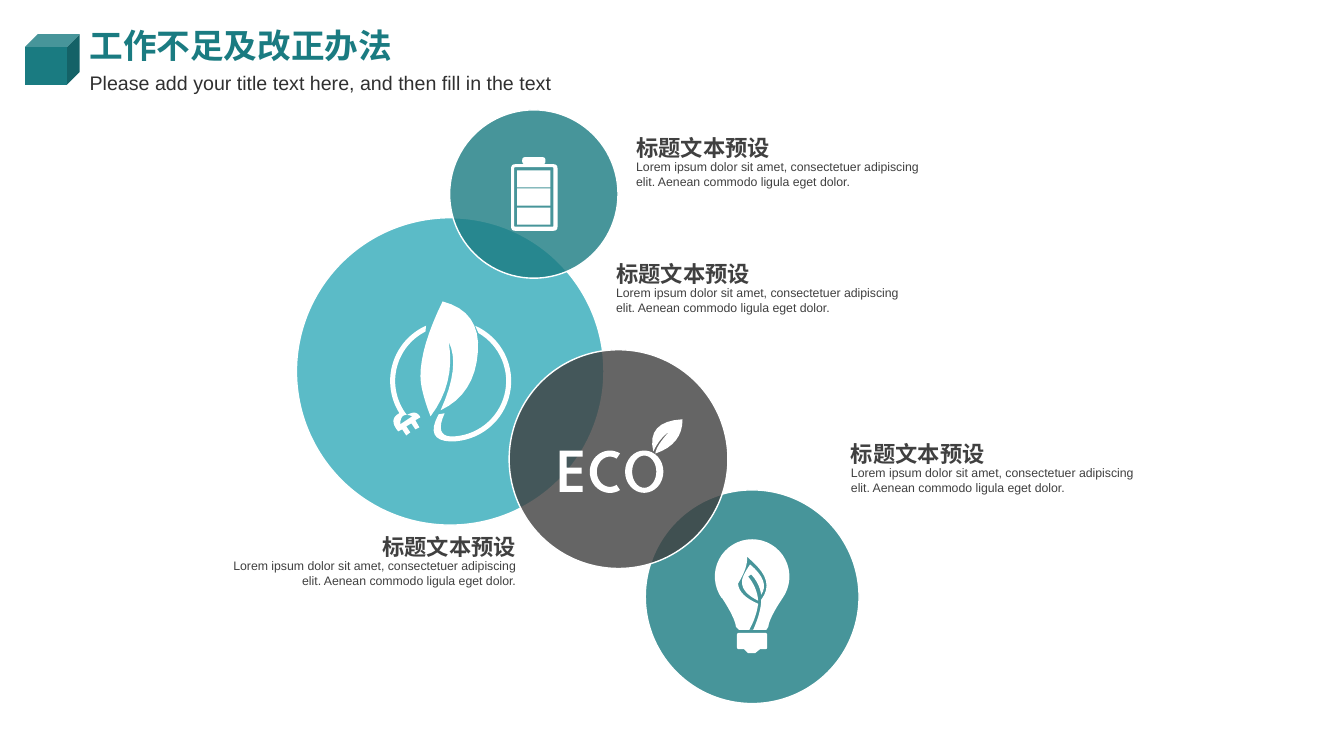
from math import cos, radians, sin

from lxml.etree import SubElement
from pptx import Presentation
from pptx.dml.color import RGBColor
from pptx.enum.shapes import MSO_SHAPE as Shape
from pptx.enum.text import MSO_ANCHOR as Anchor, MSO_AUTO_SIZE as AutoSize, PP_ALIGN as Align
from pptx.oxml.ns import qn
from pptx.util import Pt

PX = 9144  # EMU per px, 100 px to the inch
FINE = 100  # subdivisions of a px in curved outlines
STEPS = 8  # straight pieces per curve
FONT = "Arial"
COLORS = {"teal": "1A7B81", "aqua": "33AAB9", "gray": "3F3F3F",
          "white": "FFFFFF", "subtitle": "303030", "caption": "404040"}
BODY = ("Lorem ipsum dolor sit amet, consectetuer adipiscing elit. "
        "Aenean commodo ligula eget dolor.")


def rgb(color):
    return RGBColor.from_string(COLORS[color])


# Contours: (x, y) is a corner, (cx, cy, x, y) a curve pulled towards (cx, cy)
def arc(x, y, rx, ry, start, end):
    angles = (radians(start + (end - start) * i / 32) for i in range(33))
    return [(x + rx * cos(a), y + ry * sin(a)) for a in angles]


def rounded(x, y, w, h, r):
    right, bottom = x + w, y + h
    return [(x + r, y), (right - r, y), (right, y, right, y + r),
            (right, bottom - r), (right, bottom, right - r, bottom),
            (x + r, bottom), (x, bottom, x, bottom - r), (x, y + r), (x, y, x + r, y)]


def flatten(contour):
    points = [contour[0]]
    for step in contour[1:]:
        if len(step) == 2:
            points.append(step)
            continue
        (x0, y0), (cx, cy, x, y) = points[-1], step
        for i in range(1, STEPS + 1):
            t = i / STEPS
            a, b, c = (1 - t) ** 2, 2 * t * (1 - t), t * t
            points.append((a * x0 + b * cx + c * x, a * y0 + b * cy + c * y))
    return [(x * FINE, y * FINE) for x, y in points]


def add_preset(slide, kind, box, color):
    shape = slide.shapes.add_shape(kind, *(n * PX for n in box))
    shape.shadow.inherit = False
    shape.fill.solid()
    shape.fill.fore_color.rgb = rgb(color)
    shape.line.fill.background()
    return shape


def add_outline(slide, left, top, *contours):
    first, *others = (flatten(contour) for contour in contours)
    pen = slide.shapes.build_freeform(*first[0], scale=PX / FINE)
    pen.add_line_segments(first[1:], close=True)
    for other in others:
        pen.move_to(*other[0])
        pen.add_line_segments(other[1:], close=True)
    part = pen.convert_to_shape(left * PX, top * PX)
    part.shadow.inherit = False
    part.fill.solid()
    part.fill.fore_color.rgb = rgb("white")
    part.line.fill.background()


def add_bubble(slide, left, top, size, color):
    bubble = add_preset(slide, Shape.OVAL, (left, top, size, size), color)
    tint = bubble.fill._xPr.find(qn("a:solidFill")).find(qn("a:srgbClr"))
    SubElement(tint, qn("a:alpha"), val="80000")
    bubble.line.color.rgb = rgb("white")
    bubble.line.width = Pt(1)


def add_bulb(slide, left, top):
    add_bubble(slide, left, top, 212, "teal")
    x, y = left + 69, top + 49
    add_outline(slide, x, y, rounded(22, 93, 30, 16, 2),
                [(29, 109), (45, 109), (40, 113), (33, 113)])
    glass = arc(37, 37, 37, 37, 145, 395) + [
        (54, 78, 53, 87), (51, 90), (24, 90), (21, 87), (20, 78, 7, 58)]
    stem = [(34, 90), (41, 78, 43, 64), (24, 56, 23, 44), (33, 28, 32, 17),
            (37, 22), (60, 42, 46, 60), (46, 72, 38, 90)]
    add_outline(slide, x, y, glass, stem)
    add_outline(slide, x, y, [(36, 35), (44, 43, 46, 55), (55, 42, 35, 25),
                              (26, 38, 27, 43), (27, 53, 43, 61), (42, 48, 33, 37)])


def add_leaf(slide, left, top):
    add_bubble(slide, left, top, 305, "aqua")
    x, y = left + 93, top + 83
    blade = [(52, 0), (90, 10, 87, 50), (84, 92, 50, 108), (70, 64, 58, 40),
             (65, 81, 40, 114), (30, 88, 30, 74), (30, 45, 52, 0)]
    cord = (arc(60, 79, 60, 60, -66, 90) + [(34, 138, 48, 112), (54, 111), (44, 133, 60, 134)]
            + arc(60, 79, 55, 55, 90, -60))
    add_outline(slide, x, y, blade, cord)
    plug = (arc(60, 79, 60, 60, 148, 246) + arc(60, 79, 55, 55, 243, 142)
            + [(26, 107, 30, 115), (25, 118), (29, 125), (25, 127), (21, 121), (16, 124),
               (20, 130), (16, 133), (12, 127), (8, 129), (-2, 117, 9, 111)])
    add_outline(slide, x, y, plug, [(10, 122), (10, 109, 22, 114)])


def add_eco(slide, left, top):
    add_bubble(slide, left, top, 217, "gray")
    x, y = left + 50, top + 68
    add_outline(slide, x, y, [(0, 32), (23, 32), (23, 38), (7, 38), (7, 49), (22, 49),
                              (22, 55), (7, 55), (7, 67), (23, 67), (23, 73), (0, 73)])
    add_outline(slide, x, y, arc(50, 53, 20, 21, 60, 300) + arc(50, 53, 13, 15, 300, 60))
    sprout = [(122, 1), (122, 26, 95, 35), (96, 27, 109, 13), (99, 20, 93, 33),
              (86, 3, 122, 1)]
    add_outline(slide, x, y, arc(84, 53, 19, 21, 0, 360), arc(84, 53, 12, 16, 0, 360), sprout)


def add_battery(slide, left, top):
    add_bubble(slide, left, top, 167, "teal")
    x, y = left + 61, top + 47
    add_outline(slide, x, y, rounded(0, 7, 46, 66, 4), rounded(11, 0, 23, 7, 3),
                rounded(3, 10, 39, 59, 1))
    for bar in range(3):
        add_preset(slide, Shape.RECTANGLE, (x + 6, y + 13 + bar * 37 // 2, 33, 17), "white")


def add_text(slide, box, text, size, color, bold=False, align=Align.LEFT):
    frame = slide.shapes.add_textbox(*(n * PX for n in box)).text_frame
    frame.word_wrap = True
    frame.text = text
    paragraph = frame.paragraphs[0]
    paragraph.alignment = align
    font = paragraph.runs[0].font
    font.name, font.size, font.bold = FONT, Pt(size), bold
    font.color.rgb = rgb(color)
    return frame


def add_header(slide, left, top):
    add_preset(slide, Shape.CUBE, (left, top + 14, 54, 50), "teal")
    subtitle = add_text(slide, (left + 54, top + 38, 549, 38),
                        "Please add your title text here, and then fill in the text",
                        14, "subtitle")
    subtitle.paragraphs[0].line_spacing = 1.3
    title = add_text(slide, (left + 54, top, 353, 50), "工作不足及改正办法",
                     24, "teal", bold=True)
    for frame in (subtitle, title):
        frame.auto_size = AutoSize.SHAPE_TO_FIT_TEXT


def add_caption(slide, left, top, align):
    body = add_text(slide, (left, top + 24, 288, 57), BODY, 8.8, "caption", align=align)
    heading = add_text(slide, (left, top, 288, 24), "标题文本预设", 15.9, "caption",
                       bold=True, align=align)
    heading.word_wrap = False
    heading.vertical_anchor = Anchor.MIDDLE
    for frame in (body, heading):
        frame.margin_left = frame.margin_top = frame.margin_right = frame.margin_bottom = 0


def main():
    deck = Presentation()
    deck.slide_width, deck.slide_height = 1333 * PX, 750 * PX
    slide = deck.slides.add_slide(deck.slide_layouts[6])
    add_header(slide, 25, 20)
    # Overlapping bubbles, back to front
    add_bulb(slide, 640, 486)
    add_leaf(slide, 294, 216)
    add_eco(slide, 505, 347)
    add_battery(slide, 446, 109)
    # Captions beside the bubbles
    for left, top, align in ((631, 134, Align.LEFT), (611, 259, Align.LEFT),
                             (224, 530, Align.RIGHT), (844, 438, Align.LEFT)):
        add_caption(slide, left, top, align)
    deck.save("out.pptx")


if __name__ == "__main__":
    main()
